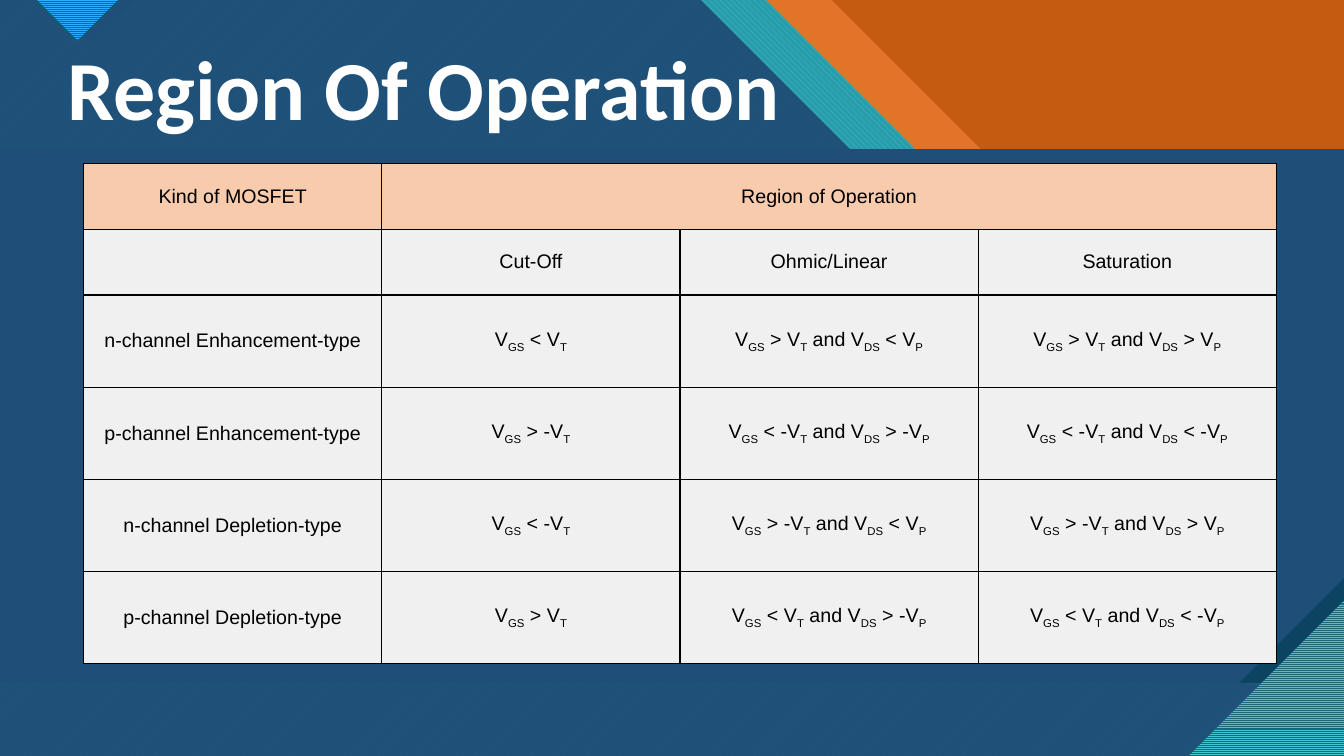
"""Build the MOSFET region-of-operation slide."""
from lxml import etree
from pptx import Presentation
from pptx import util as u
from pptx.dml.color import RGBColor
from pptx.enum import dml, shapes, text
from pptx.oxml.ns import qn

WIDTH, HEIGHT = 960, 540
TITLE = "Region Of Operation"
ROWS = [
    ["Kind of MOSFET", "Region of Operation", "", ""],
    ["", "Cut-Off", "Ohmic/Linear", "Saturation"],
    ["n-channel Enhancement-type", "V[GS] < V[T]",
     "V[GS] > V[T] and V[DS] < V[P]", "V[GS] > V[T] and V[DS] > V[P]"],
    ["p-channel Enhancement-type", "V[GS] > -V[T]",
     "V[GS] < -V[T] and V[DS] > -V[P]", "V[GS] < -V[T] and V[DS] < -V[P]"],
    ["n-channel Depletion-type", "V[GS] < -V[T]",
     "V[GS] > -V[T] and V[DS] < V[P]", "V[GS] > -V[T] and V[DS] > V[P]"],
    ["p-channel Depletion-type", "V[GS] > V[T]",
     "V[GS] < V[T] and V[DS] > -V[P]", "V[GS] < V[T] and V[DS] < -V[P]"],
]
ROW_HEIGHTS = [47, 47] + [65.8] * 4
COLUMN_WIDTH = 213
TABLE_LEFT, TABLE_TOP = 59.75, 116.75
PATTERN = dml.MSO_PATTERN
STRIPES = [
    (594, {"color": "ED7D31", "alpha": 74}),
    (547.2, {"color": "47C3D3", "back": "299CAB", "pattern": PATTERN.WIDE_DOWNWARD_DIAGONAL}),
    (500.4, {"color": "47C3D3", "back": "1B6872", "pattern": PATTERN.WIDE_UPWARD_DIAGONAL}),
    (500.4, {"color": "1F4E79", "alpha": 90}),
]
STRIPE_DROP = 214
TRIANGLES = [
    ([(34.5, 0), (94.5, 0), (64.5, 29.5)], {"color": "1F4E79"}),
    ([(26.6, 0), (84.2, 0), (55.4, 28.8)],
     {"color": "2FAFFF", "back": "1B6872", "pattern": PATTERN.LIGHT_HORIZONTAL}),
]
CORNER = ([(849, HEIGHT), (WIDTH, HEIGHT), (WIDTH, 429)],
          {"color": "1B6872", "back": "47C3D3", "pattern": PATTERN.LIGHT_HORIZONTAL})
BAND = (0, 106.56, WIDTH, 381.6)


def rgb(value):
    """Turn a hex string into a colour."""
    return RGBColor.from_string(value)


def paint(shape, color, back=None, pattern=None, alpha=None):
    """Fill a shape, without line or shadow."""
    shape.shadow.inherit = False
    shape.line.fill.background()
    if pattern is None:
        shape.fill.solid()
    else:
        shape.fill.patterned()
        shape.fill.pattern = pattern
        shape.fill.back_color.rgb = rgb(back)
    shape.fill.fore_color.rgb = rgb(color)
    if alpha:
        tint = shape._element.spPr.find(".//" + qn("a:srgbClr"))
        etree.SubElement(tint, qn("a:alpha"), val=str(alpha * 1000))


def add_polygon(slide, points, look):
    """Draw a closed outline through points."""
    corners = [(u.Pt(x), u.Pt(y)) for x, y in points]
    builder = slide.shapes.build_freeform(*corners[0], scale=1.0)
    builder.add_line_segments(corners[1:], close=True)
    paint(builder.convert_to_shape(), **look)


def add_box(slide, kind, place, **look):
    """Draw a filled preset shape."""
    shape = slide.shapes.add_shape(kind, *map(u.Pt, place))
    paint(shape, **look)
    return shape


def write(paragraph, content, size, font, color, bold=False, align=None, spacing=None):
    """Write text, with bracketed parts as subscripts."""
    paragraph.alignment = align
    paragraph.line_spacing = spacing
    for index, part in enumerate(content.replace("]", "[").split("[")):
        if part:
            run = paragraph.add_run()
            run.text = part
            run.font.size, run.font.name, run.font.bold = u.Pt(size), font, bold
            run.font.color.rgb = rgb(color)
            if index % 2:
                run.font._element.set("baseline", "-25000")


def add_borders(cell):
    """Give a cell thin black borders."""
    properties = cell._tc.get_or_add_tcPr()
    for side in ("lnL", "lnR", "lnT", "lnB"):
        line = etree.SubElement(properties, qn("a:" + side), w=str(u.Pt(0.96)))
        fill = etree.SubElement(line, qn("a:solidFill"))
        etree.SubElement(fill, qn("a:srgbClr"), val="000000")


def add_background(slide):
    """Draw the stripes, the band and the triangles."""
    add_box(slide, shapes.MSO_SHAPE.RECTANGLE, (0, 0, WIDTH, HEIGHT), color="C55A11")
    for edge, look in STRIPES:
        outline = [(0, 0), (edge, 0), (edge + STRIPE_DROP, STRIPE_DROP),
                   (WIDTH, STRIPE_DROP), (WIDTH, HEIGHT), (0, HEIGHT)]
        add_polygon(slide, outline, look)
    for points, look in TRIANGLES:
        add_polygon(slide, points, look)
    add_box(slide, shapes.MSO_SHAPE.RECTANGLE, BAND,
            color="0C4360", back="1B6872", pattern=PATTERN.DARK_VERTICAL)
    band = add_box(slide, shapes.MSO_SHAPE.SNIP_1_RECTANGLE, BAND, color="1F4E79")
    band.adjustments[0] = 0.197
    band._element.spPr.xfrm.set("flipV", "1")
    add_polygon(slide, *CORNER)


def add_title(slide):
    """Write the slide title."""
    frame = slide.shapes.add_textbox(*map(u.Pt, (48, 21.6, 864, 90))).text_frame
    frame.word_wrap = True
    frame.vertical_anchor = text.MSO_ANCHOR.MIDDLE
    frame.margin_left = frame.margin_right = frame.margin_top = frame.margin_bottom = 0
    write(frame.paragraphs[0], TITLE, size=60, font="Calibri", color="FFFFFF",
          bold=True, spacing=0.9)


def add_regions(slide):
    """Build the table of regions."""
    columns = len(ROWS[0])
    table = slide.shapes.add_table(
        len(ROWS), columns, u.Pt(TABLE_LEFT), u.Pt(TABLE_TOP),
        u.Pt(COLUMN_WIDTH * columns), u.Pt(sum(ROW_HEIGHTS))).table
    for column in table.columns:
        column.width = u.Pt(COLUMN_WIDTH)
    for r, (height, row) in enumerate(zip(ROW_HEIGHTS, ROWS)):
        table.rows[r].height = u.Pt(height)
        for c, content in enumerate(row):
            cell = table.cell(r, c)
            add_borders(cell)
            cell.fill.solid()
            cell.fill.fore_color.rgb = rgb("F0F0F0" if r else "F8CBAD")
            cell.vertical_anchor = text.MSO_ANCHOR.MIDDLE
            cell.margin_left = cell.margin_right = u.Pt(3.6)
            cell.margin_top = cell.margin_bottom = u.Pt(3.6)
            write(cell.text_frame.paragraphs[0], content, size=14, font="Arial",
                  color="000000", align=text.PP_ALIGN.CENTER)
    table.cell(0, 1).merge(table.cell(0, columns - 1))


def main():
    """Build and save the presentation."""
    presentation = Presentation()
    presentation.slide_width, presentation.slide_height = u.Pt(WIDTH), u.Pt(HEIGHT)
    slide = presentation.slides.add_slide(presentation.slide_layouts[6])
    add_background(slide)
    add_title(slide)
    add_regions(slide)
    presentation.save("out.pptx")


if __name__ == "__main__":
    main()
